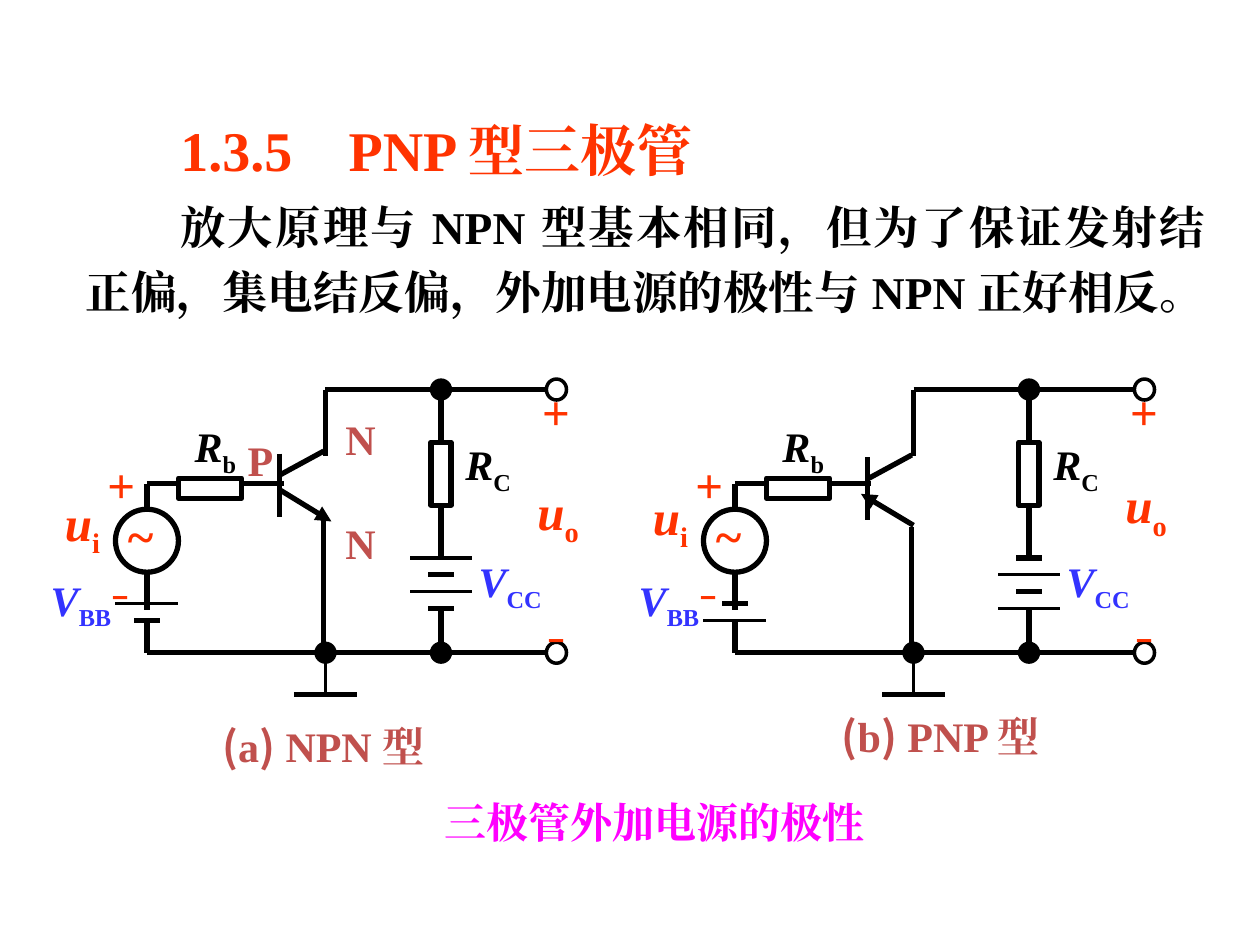
import pptx
import pptx.dml.color
import pptx.enum.shapes
import pptx.enum.text
import pptx.oxml.ns
import pptx.util
from lxml import etree

Pt = pptx.util.Pt
Color = pptx.dml.color.RGBColor
Shapes = pptx.enum.shapes.MSO_SHAPE
Align = pptx.enum.text.PP_ALIGN
qn = pptx.oxml.ns.qn

BLACK = Color(0, 0, 0)
WHITE = Color(0xFF, 0xFF, 0xFF)
RED = Color(0xFF, 0x33, 0x00)
BRICK = Color(0xC0, 0x50, 0x4D)
BLUE = Color(0x33, 0x33, 0xFF)
MAGENTA = Color(0xFF, 0x00, 0xFF)
SERIF, SANS, CJK = "Times New Roman", "Arial", "Noto Sans CJK SC"

# Columns and rows shared by both circuits
SOURCE_X, BASE_X, EMITTER_X, LOAD_X, OUT_X = 84, 160, 186, 252, 312
TOP_Y, BASE_Y, GROUND_Y, EARTH_Y = 222.6, 276.5, 373, 396.7
CIRCUIT_GAP = 336


class Sketch:
    """Holds the slide, the style and the x offset of the circuit being drawn."""

    def __init__(self, slide):
        self.slide = slide
        self.offset = 0

    def text(self, x, y, width, height, spans, size=24, color=BLACK,
             align=Align.LEFT, wrap=True, spacing=None, indent=0):
        """Add one paragraph; each span is (words, font, italic, subscript)."""
        box = self.slide.shapes.add_textbox(
            Pt(x + self.offset), Pt(y), Pt(width), Pt(height))
        box.text_frame.word_wrap = wrap
        para = box.text_frame.paragraphs[0]
        para.alignment = align
        if spacing:
            para.line_spacing = spacing
        if indent:
            para._p.get_or_add_pPr().set("indent", str(Pt(indent)))
        for words, font, italic, subscript in spans:
            span = para.add_run()
            span.text = words
            span.font.name = font
            span.font.size = Pt(size)
            span.font.bold = True
            span.font.italic = italic
            span.font.color.rgb = color
            properties = span._r.get_or_add_rPr()
            etree.SubElement(properties, qn("a:ea")).set("typeface", font)
            if subscript:
                properties.set("baseline", "-25000")

    def plain(self, x, y, width, height, words, font=SERIF, **style):
        self.text(x, y, width, height, [(words, font, False, False)], **style)

    def symbol(self, x, y, width, height, letter, index, **style):
        self.text(x, y, width, height,
                  [(letter, SERIF, True, False), (index, SERIF, False, True)],
                  **style)

    def plus(self, x, y):
        self.text(x, y, 30, 32.4, [("+", SERIF, True, False)], size=28,
                  color=RED, align=Align.CENTER, wrap=False, spacing=0.75)

    def minus(self, x, y, width):
        self.text(x, y, width, 45.4, [("−", SANS, False, True)], size=28,
                  color=RED)

    def line(self, x1, y1, x2, y2, weight=3, arrow=False):
        wire = self.slide.shapes.add_connector(
            pptx.enum.shapes.MSO_CONNECTOR.STRAIGHT,
            Pt(x1 + self.offset), Pt(y1), Pt(x2 + self.offset), Pt(y2))
        wire.line.color.rgb = BLACK
        wire.line.width = Pt(weight)
        if arrow:
            outline = wire.line._get_or_add_ln()
            etree.SubElement(outline, qn("a:tailEnd")).set("type", "triangle")
        etree.SubElement(wire._element.spPr, qn("a:effectLst"))

    def shape(self, kind, center_x, center_y, width, height, fill=None, weight=3):
        part = self.slide.shapes.add_shape(
            kind, Pt(center_x - width / 2 + self.offset),
            Pt(center_y - height / 2), Pt(width), Pt(height))
        part.shadow.inherit = False
        if fill is None:
            part.fill.background()
        else:
            part.fill.solid()
            part.fill.fore_color.rgb = fill
        part.line.color.rgb = BLACK
        part.line.width = Pt(weight)

    def battery(self, x, rows, half, long_first):
        """Draw alternating thin long and thick short plates."""
        for number, y in enumerate(rows):
            is_long = (number % 2 == 0) == long_first
            reach = half if is_long else 7.4
            self.line(x - reach, y, x + reach, y, 2 if is_long else 3)

    def circuit(self, offset, is_npn):
        self.offset = offset
        self.battery(LOAD_X, [318.8 + 9.6 * n for n in range(4)], 17.6, is_npn)
        self.battery(SOURCE_X, [345, 354.6], 18, is_npn)

        for wire in [
            (SOURCE_X, BASE_Y, 162, BASE_Y),
            (EMITTER_X, TOP_Y, OUT_X, TOP_Y),
            (SOURCE_X, GROUND_Y, OUT_X, GROUND_Y),
            (EMITTER_X, TOP_Y, EMITTER_X, 260.8),
            (185, 294.5 if is_npn else 301, 185, GROUND_Y),
            (LOAD_X, TOP_Y, LOAD_X, 318.8),
            (LOAD_X, 348.5, LOAD_X, GROUND_Y),
            (SOURCE_X, BASE_Y, SOURCE_X, 348.5),
            (SOURCE_X, 354.6, SOURCE_X, GROUND_Y),
            (EMITTER_X, GROUND_Y, EMITTER_X, EARTH_Y, 2.25),
            (EMITTER_X - 18, EARTH_Y, EMITTER_X + 18, EARTH_Y),
        ]:
            self.line(*wire)

        for y in (TOP_Y, GROUND_Y):
            self.shape(Shapes.OVAL, 318, y, 11.5, 12, weight=2)
        for x, y in [(EMITTER_X, GROUND_Y), (LOAD_X, GROUND_Y), (LOAD_X, TOP_Y)]:
            self.shape(Shapes.OVAL, x, y, 12, 12, BLACK, 0.75)
        self.shape(Shapes.RECTANGLE, LOAD_X, 270.7, 11.5, 36, WHITE)
        self.shape(Shapes.RECTANGLE, 120, 279, 36, 11.5, WHITE)
        self.shape(Shapes.OVAL, SOURCE_X, 309, 36, 36, WHITE)
        self.plain(66, 285.1, 36, 41, "~", size=28, color=RED)

        drop = 0 if is_npn else 2.2
        self.line(BASE_X - 0.2, 259.2 + drop, BASE_X - 0.2, 295.2 + drop)
        self.line(BASE_X, 271.4 + drop, 185, 257.8 + drop)
        if is_npn:
            self.line(BASE_X, 280, 189.4, 298, arrow=True)
        else:
            self.line(EMITTER_X, 300.2, 156, 282.2, arrow=True)

        lift = 0 if is_npn else 3.6
        self.symbol(266.4, 313.9, 50.4, 40, "V", "CC", color=BLUE,
                    align=Align.CENTER, wrap=False)
        self.symbol(21.9, 324.7, 49, 40, "V", "BB", color=BLUE, wrap=False)
        self.symbol(252, 247, 54, 40, "R", "C", align=Align.CENTER)
        self.symbol(96, 237, 54, 40, "R", "b", align=Align.CENTER)
        self.symbol(300, 271.4 - lift, 54, 45, "u", "o", size=28, color=RED)
        self.symbol(30, 277.9 - lift, 60, 45, "u", "i", size=28, color=RED)
        self.plus(302.4, 222.5)
        self.plus(54, 264.2)
        self.minus(306, 333, 30.2)
        self.minus(56.9, 308.9, 30.2)


def main():
    deck = pptx.Presentation()
    deck.slide_width, deck.slide_height = Pt(720), Pt(540)
    sketch = Sketch(deck.slides.add_slide(deck.slide_layouts[6]))

    sketch.plain(96, 62.6, 414, 46, "1.3.5　PNP 型三极管", size=32, color=RED)
    sketch.plain(42, 103.7, 653.8, 82,
                 "放大原理与 NPN 型基本相同，但为了保证发射结正偏，"
                 "集电结反偏，外加电源的极性与 NPN 正好相反。",
                 size=26, align=Align.JUSTIFY, spacing=1.2, indent=54)
    sketch.plain(180, 451.4, 388, 36, "三极管外加电源的极性", color=MAGENTA,
                 align=Align.CENTER)
    for x, y, letter, words in [(120, 408.2, "a", " NPN 型"),
                                (474, 402.5, "b", " PNP 型")]:
        sketch.text(x, y, 150, 36,
                    [("(", CJK, False, False), (letter, SERIF, False, False),
                     (")", CJK, False, False), (words, SERIF, False, False)],
                    color=BRICK)

    sketch.circuit(0, is_npn=True)
    for x, y, region in [(190, 233, "N"), (132.8, 245, "P"), (190, 292, "N")]:
        sketch.plain(x, y, 32, 35, region, color=BRICK, align=Align.CENTER,
                     wrap=False)
    sketch.circuit(CIRCUIT_GAP, is_npn=False)
    deck.save("out.pptx")


if __name__ == "__main__":
    main()
